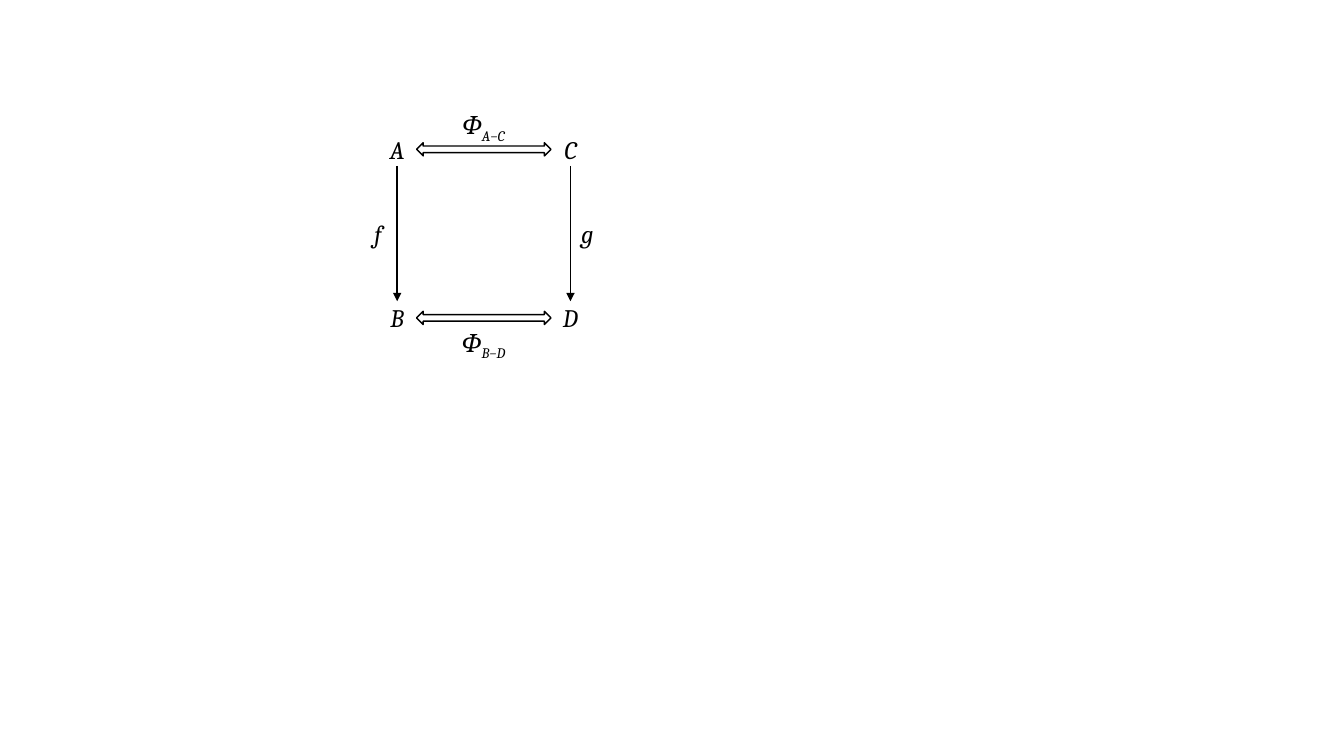
from lxml import etree
from pptx import Presentation, util as u
from pptx.dml.color import RGBColor
from pptx.enum import shapes, text
from pptx.oxml import ns

BLACK = RGBColor(0, 0, 0)
WHITE = RGBColor(255, 255, 255)
SLIDE_WIDTH, SLIDE_HEIGHT = u.Inches(13.33), u.Inches(7.5)
LETTER_FORMAT = {"name": "Cambria", "size": u.Pt(18), "italic": True}
FRAME_FORMAT = {"word_wrap": False, "auto_size": text.MSO_AUTO_SIZE.SHAPE_TO_FIT_TEXT}


def columns(count):
    """Return the length of a number of hundredths of the slide width."""
    return round(SLIDE_WIDTH * count / 100)


def rows(count):
    """Return the length of a number of hundredths of the slide height."""
    return round(SLIDE_HEIGHT * count / 100)


def centred(x, y, width, height):
    """Return the lengths of a box around a centre given on the grid."""
    return columns(x - width / 2), rows(y - height / 2), columns(width), rows(height)


def set_line(line):
    """Give a line the weight and colour of the diagram."""
    line.color.rgb = BLACK
    line.width = u.Pt(1)


def add_label(parent, x, y, letter, subscript="", width=2.7):
    """Centre an italic letter with an optional subscript on a point."""
    frame = parent.add_textbox(*centred(x, y, width, 5.33)).text_frame
    for name, value in FRAME_FORMAT.items():
        setattr(frame, name, value)
    paragraph = frame.paragraphs[0]
    paragraph.alignment = text.PP_ALIGN.CENTER
    for content, baseline in ((letter, 0), (subscript, -25000)):
        if content:
            run = paragraph.add_run()
            run.text = content
            for name, value in LETTER_FORMAT.items():
                setattr(run.font, name, value)
            run.font.color.rgb = BLACK
            if baseline:
                run.font._element.set("baseline", str(baseline))


def add_map(parent, x, top, bottom):
    """Draw a downward arrow between two objects."""
    arrow = parent.add_connector(
        shapes.MSO_CONNECTOR.STRAIGHT, columns(x), rows(top + 2.2), columns(x), rows(bottom - 2.2))
    set_line(arrow.line)
    etree.SubElement(arrow.line._get_or_add_ln(), ns.qn("a:tailEnd"), type="triangle")
    etree.SubElement(arrow._element.spPr, ns.qn("a:effectLst"))


def add_equivalence(parent, x, y, label_offset, subscript):
    """Group a double arrow with its label."""
    group = parent.add_group_shape().shapes
    arrow = group.add_shape(shapes.MSO_SHAPE.LEFT_RIGHT_ARROW, *centred(x, y, 10, 1.75))
    arrow.shadow.inherit = False
    arrow.fill.solid()
    arrow.fill.fore_color.rgb = WHITE
    set_line(arrow.line)
    add_label(group, x, y + label_offset, "Φ", subscript, 5.3)


def add_square(parent, left, top, width, height):
    """Draw the commutative square with its corners on the given box."""
    right, bottom = left + width, top + height
    middle = top + height / 2
    for x, y, letter in ((left, top, "A"), (right, top, "C"),
                         (left, bottom, "B"), (right, bottom, "D"),
                         (left - 1.42, middle, "f"), (right + 1.25, middle, "g")):
        add_label(parent, x, y, letter)
    for x in (left, right):
        add_map(parent, x, top, bottom)
    for y, offset, subscript in ((top, -3.25, "A−C"), (bottom, 3.25, "B−D")):
        add_equivalence(parent, left + width / 2, y, offset, subscript)


def main():
    """Build and save the slide."""
    presentation = Presentation()
    presentation.slide_width, presentation.slide_height = SLIDE_WIDTH, SLIDE_HEIGHT
    slide = presentation.slides.add_slide(presentation.slide_layouts[6])
    add_square(slide.shapes, 29.55, 19.75, 12.9, 22.3)
    presentation.save("out.pptx")


if __name__ == "__main__":
    main()
